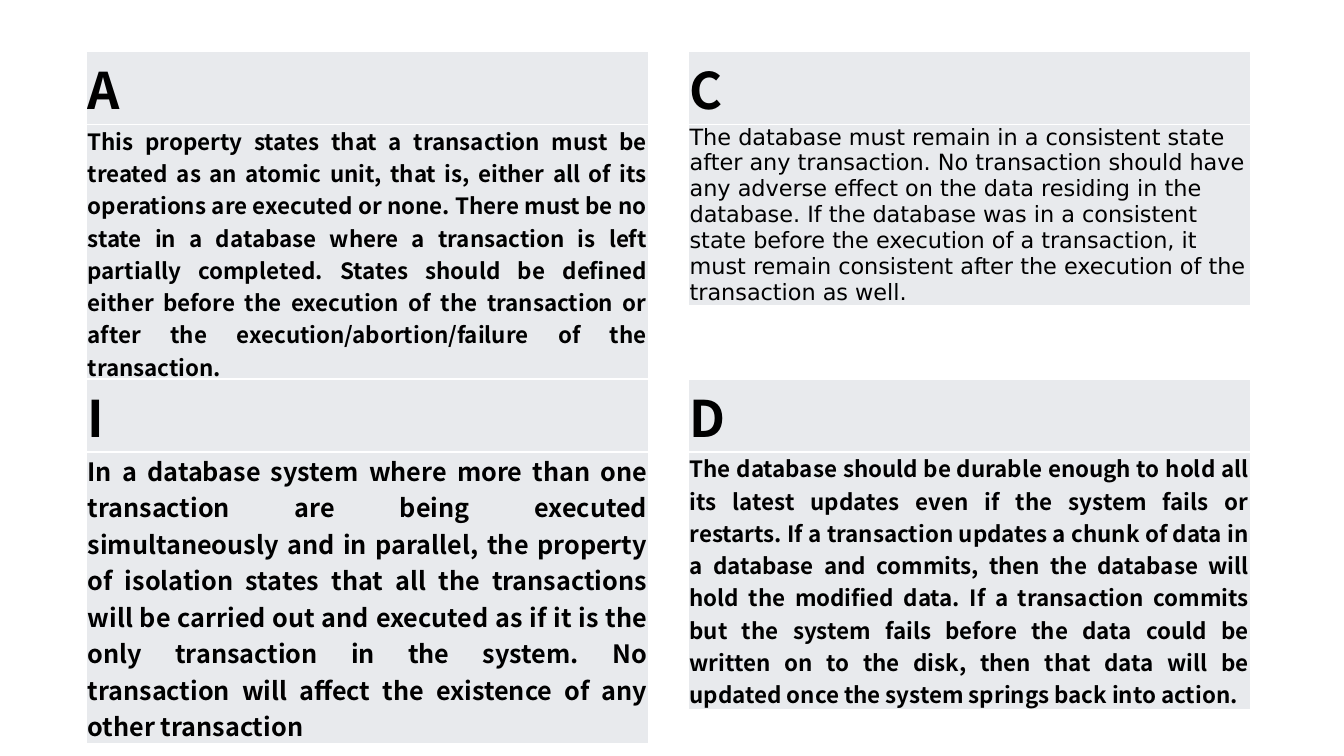
from dataclasses import dataclass

from lxml import etree
from pptx import Presentation
from pptx import util as u
from pptx.dml.color import RGBColor
from pptx.enum import text
from pptx.oxml import ns


@dataclass(frozen=True)
class Theme:
    """Colours, fonts and type sizes of the slide."""
    ink: str = "000000"
    panel: str = "E8EAED"
    rule: str = "FFFFFF"
    heading: str = "Noto Sans CJK SC"
    plain: str = "DejaVu Sans"
    letter: int = 36
    body: int = 16
    large: int = 18


T = Theme()
LEFT, TOP, COL_STEP, ROW_STEP, CARD_W = 0.86, 0.51, 5.97, 3.25, 5.57
LETTER_H, INSET = 0.19, 0.01
JUSTIFY, START = text.PP_ALIGN.JUSTIFY, text.PP_ALIGN.LEFT
BOLD = {"name": T.heading, "bold": True}
PLAIN = {"name": T.plain, "bold": False}

PROPERTIES = [
    ("A", "This property states that a transaction must be treated as an atomic unit, that is, "
     "either all of its operations are executed or none. There must be no state in a database "
     "where a transaction is left partially completed. States should be defined either before "
     "the execution of the transaction or after the execution/abortion/failure of the "
     "transaction.", T.body, BOLD, JUSTIFY, 0.19, 2.48),
    ("C", "The database must remain in a consistent state after any transaction. No transaction "
     "should have any adverse effect on the data residing in the database. If the database was "
     "in a consistent state before the execution of a transaction, it must remain consistent "
     "after the execution of the transaction as well.", T.body, PLAIN, START, 1.17, 2.48),
    ("I", "In a database system where more than one transaction are being executed "
     "simultaneously and in parallel, the property of isolation states that all the "
     "transactions will be carried out and executed as if it is the only transaction in the "
     "system. No transaction will affect the existence of any other transaction",
     T.large, BOLD, JUSTIFY, 0, 2.71),
    ("D", "The database should be durable enough to hold all its latest updates even if the "
     "system fails or restarts. If a transaction updates a chunk of data in a database and "
     "commits, then the database will hold the modified data. If a transaction commits but the "
     "system fails before the data could be written on to the disk, then that data will be "
     "updated once the system springs back into action.", T.body, BOLD, JUSTIFY, 1.17, 2.74),
]


def add_borders(cell):
    """Rule all four sides of a cell."""
    pr = cell._tc.get_or_add_tcPr()
    for i, side in enumerate(("lnL", "lnR", "lnT", "lnB")):
        ln = etree.Element(ns.qn(f"a:{side}"), w=str(u.Pt(1)))
        fill = etree.SubElement(ln, ns.qn("a:solidFill"))
        etree.SubElement(fill, ns.qn("a:srgbClr"), val=T.rule)
        pr.insert(i, ln)


def fill_cell(cell, words, size, face, align):
    """Write and format one cell."""
    sides = dict.fromkeys(("margin_left", "margin_right"), u.Inches(INSET))
    for key, value in {**sides, "margin_top": 0, "margin_bottom": 0,
                       "vertical_anchor": text.MSO_ANCHOR.MIDDLE}.items():
        setattr(cell, key, value)
    cell.fill.solid()
    cell.fill.fore_color.rgb = RGBColor.from_string(T.panel)
    add_borders(cell)
    p = cell.text_frame.paragraphs[0]
    p.alignment = align
    r = p.add_run()
    r.text = words
    for key, value in {**face, "size": u.Pt(size)}.items():
        setattr(r.font, key, value)
    r.font.color.rgb = RGBColor.from_string(T.ink)


def add_property(s, box, letter, words, size, face, align, body_h):
    """Place one property table, letter above statement, in its box."""
    frame = s.shapes.add_table(2, 1, *map(u.Inches, box))
    table = frame.table
    for row, height in zip(table.rows, (LETTER_H, body_h)):
        row.height = u.Inches(height)
    frame.height = u.Inches(box[3])
    fill_cell(table.cell(0, 0), letter, T.letter, BOLD, align)
    fill_cell(table.cell(1, 0), words, size, face, align)


def main():
    """Build and save the slide."""
    prs = Presentation()
    prs.slide_width, prs.slide_height = u.Inches(13.33), u.Inches(7.5)
    s = prs.slides.add_slide(prs.slide_layouts[6])
    for i, (*content, height) in enumerate(PROPERTIES):
        row, col = divmod(i, 2)
        box = (LEFT + col * COL_STEP, TOP + row * ROW_STEP, CARD_W, height)
        add_property(s, box, *content)
    prs.save("out.pptx")


if __name__ == "__main__":
    main()
